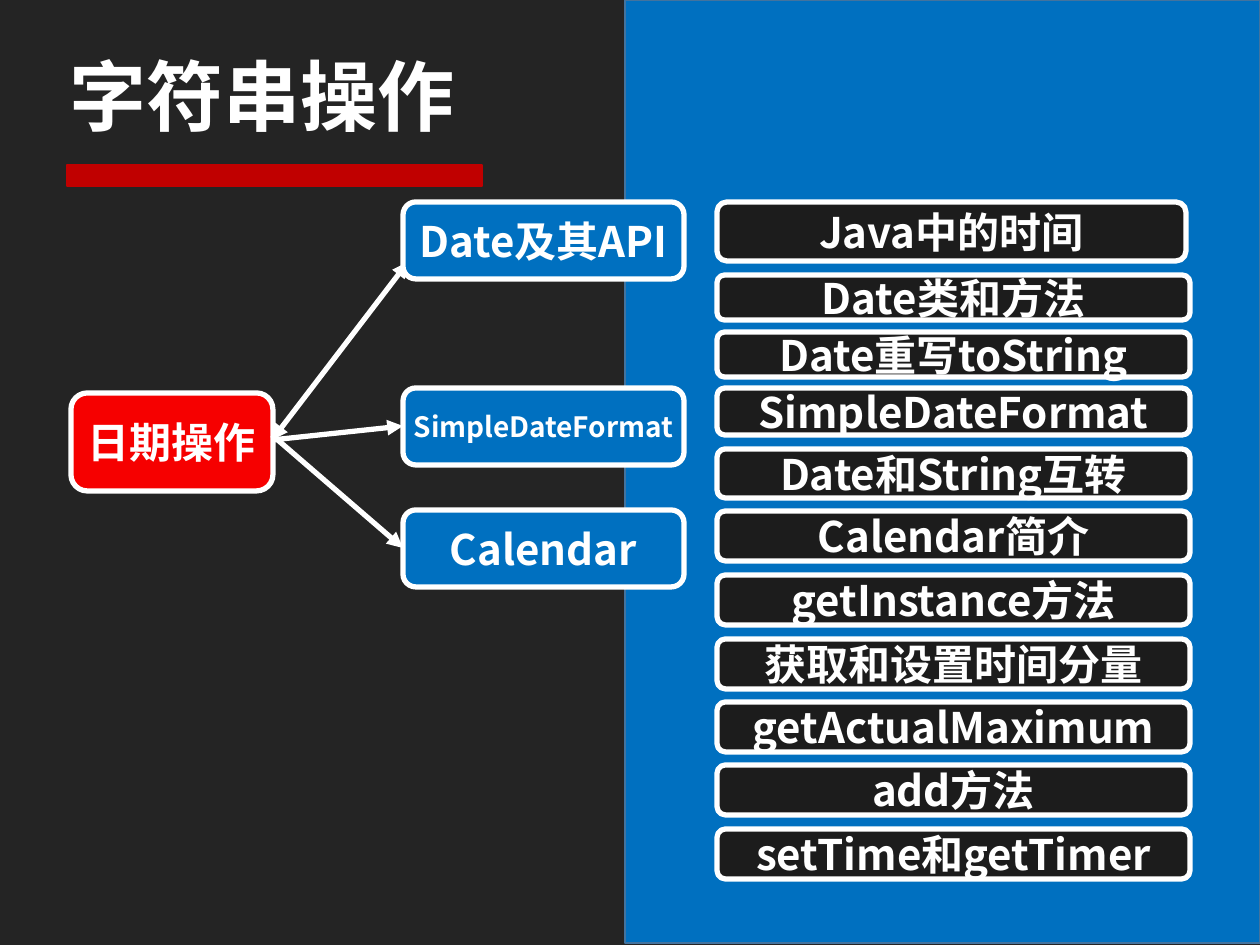
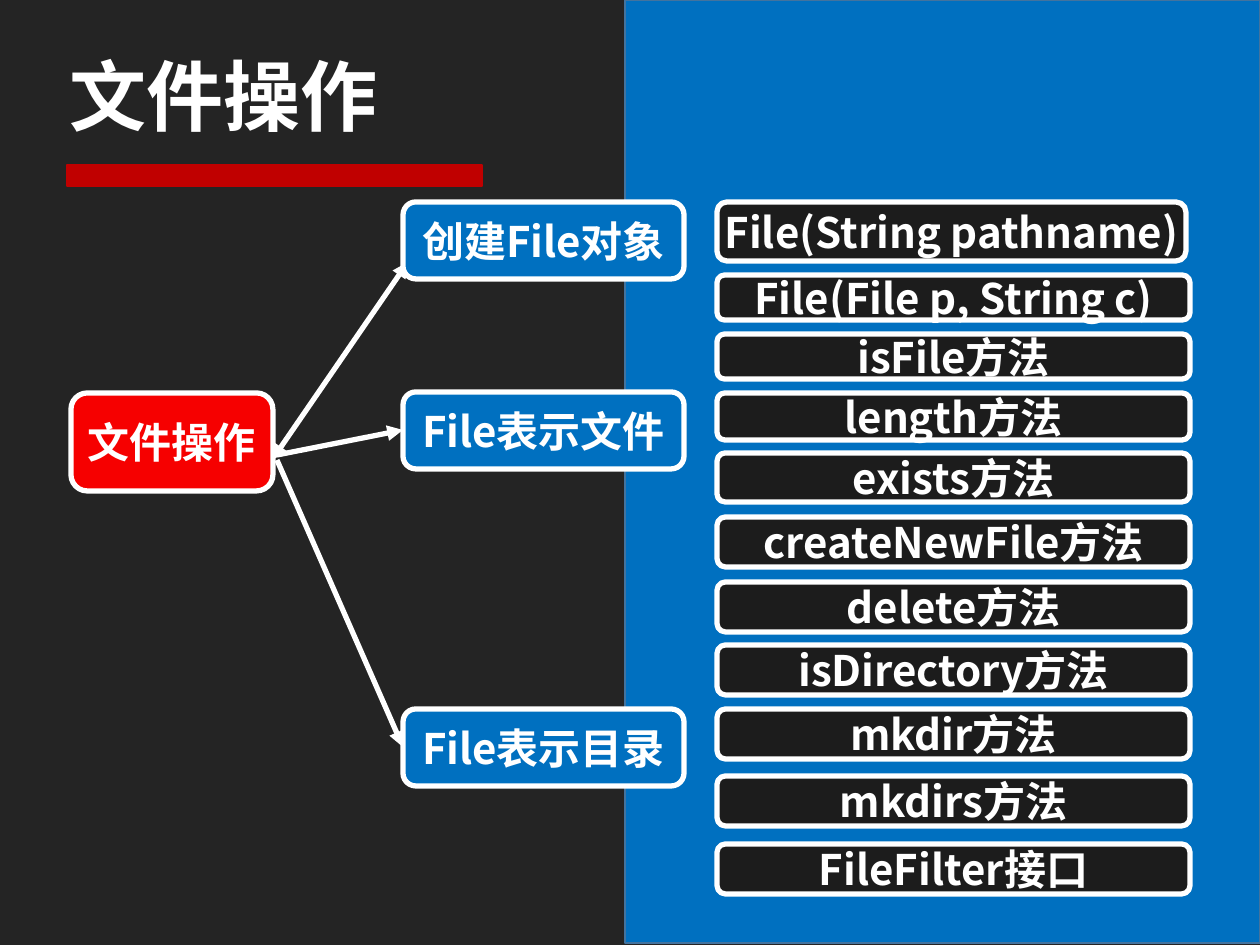
from dataclasses import dataclass

from lxml.etree import SubElement
from pptx import Presentation
from pptx.dml.color import RGBColor
from pptx.enum.shapes import MSO_CONNECTOR as Connector, MSO_SHAPE as Shape
from pptx.enum.text import MSO_ANCHOR as Anchor, PP_ALIGN as Align
from pptx.oxml.ns import qn
from pptx.util import Emu, Pt

SLIDES = [
    {
        "title": "字符串操作",
        "root": "日期操作",
        "branches": [
            ("Date及其API", 202, 24),
            ("SimpleDateFormat", 388, 16),
            ("Calendar", 510, 24),
        ],
        "link_starts": [(272, 440), (272, 440), (272, 435)],
        "topics": [
            ("Java中的时间", 202),
            ("Date类和方法", 275),
            ("Date重写toString", 332),
            ("SimpleDateFormat", 388),
            ("Date和String互转", 449),
            ("Calendar简介", 511),
            ("getInstance方法", 575),
            ("获取和设置时间分量", 639),
            ("getActualMaximum", 702),
            ("add方法", 765),
            ("setTime和getTimer", 829),
        ],
    },
    {
        "title": "文件操作",
        "root": "文件操作",
        "branches": [
            ("创建File对象", 202, 24),
            ("File表示文件", 392, 24),
            ("File表示目录", 709, 24),
        ],
        "link_starts": [(272, 460), (277, 455), (277, 460)],
        "topics": [
            ("File(String pathname)", 202),
            ("File(File p, String c)", 275),
            ("isFile方法", 334),
            ("length方法", 393),
            ("exists方法", 453),
            ("createNewFile方法", 517),
            ("delete方法", 582),
            ("isDirectory方法", 645),
            ("mkdir方法", 709),
            ("mkdirs方法", 776),
            ("FileFilter接口", 844),
        ],
    },
]


@dataclass(frozen=True)
class Theme:
    font: str = "Noto Sans CJK SC"
    background: str = "242424"
    panel: str = "0070C0"
    panel_edge: str = "43739E"
    rule: str = "C00000"
    root: str = "F60000"
    branch: str = "0070C0"
    topic: str = "1C1C1C"
    light: str = "FFFFFF"
    title_size: int = 44
    label_size: int = 24
    thin: int = 1
    thick: int = 3


THEME = Theme()
EMU_PER_PX = 914400 / 126
SLIDE_SIZE = (1260, 945)
PANEL = (625, 0, 635, 943)
TITLE = (57, 29, 1145, 131)
RULE = (67, 165, 415, 21)
ROOT = (71, 393, 202, 98)
BRANCH_LEFT, BRANCH_WIDTH, BRANCH_HEIGHT = 403, 281, 77
FIRST_LINK_END = (408, 262)
TOPIC_LEFT = 717
TOPIC_WIDTHS = [469] + [473] * 10
TOPIC_HEIGHTS = [59, 45, 45, 47, 49] + [50] * 6


def px(*lengths):
    return [Emu(round(length * EMU_PER_PX)) for length in lengths]


def colour(value):
    return RGBColor.from_string(value)


def style_text(paragraph, size, alignment):
    paragraph.alignment = alignment
    font = paragraph.font
    font.size, font.bold = Pt(size), True
    font.color.rgb = colour(THEME.light)
    font.name = THEME.font
    defaults = paragraph._p.pPr.find(qn("a:defRPr"))
    SubElement(defaults, qn("a:ea"), typeface=THEME.font)


def add_block(slide, kind, box, fill, edge, weight):
    shape = slide.shapes.add_shape(kind, *px(*box))
    shape.shadow.inherit = False
    shape.fill.solid()
    shape.fill.fore_color.rgb = colour(fill)
    shape.line.color.rgb = colour(edge)
    shape.line.width = Pt(weight)
    return shape


def add_label(slide, text, box, fill, size=THEME.label_size):
    shape = add_block(slide, Shape.FLOWCHART_ALTERNATE_PROCESS, box, fill,
                      THEME.light, THEME.thick)
    frame = shape.text_frame
    frame.margin_left, frame.margin_right = px(14, 14)
    frame.margin_top, frame.margin_bottom = px(7, 7)
    frame.vertical_anchor = Anchor.MIDDLE
    frame.word_wrap = False
    frame.text = text
    style_text(frame.paragraphs[0], size, Align.CENTER)


def add_link(slide, start, end, arrow_ends):
    link = slide.shapes.add_connector(Connector.STRAIGHT, *px(*start, *end))
    link.line.color.rgb = colour(THEME.light)
    link.line.width = Pt(THEME.thick)
    line = link.line._get_or_add_ln()
    for arrow_end in arrow_ends:
        SubElement(line, qn(f"a:{arrow_end}"), type="triangle")
    SubElement(link._element.spPr, qn("a:effectLst"))


def set_title(slide, text):
    title = slide.shapes.title
    title.left, title.top, title.width, title.height = px(*TITLE)
    frame = title.text_frame
    frame.text = text
    frame.word_wrap = True
    frame.vertical_anchor = Anchor.MIDDLE
    style_text(frame.paragraphs[0], THEME.title_size, Align.LEFT)
    subtitle = slide.placeholders[1]._element
    subtitle.getparent().remove(subtitle)


def add_branches(slide, branches, starts):
    add_link(slide, starts[0], FIRST_LINK_END, ["headEnd", "tailEnd"])
    for text, top, size in branches:
        box = (BRANCH_LEFT, top, BRANCH_WIDTH, BRANCH_HEIGHT)
        add_label(slide, text, box, THEME.branch, size)
    for start, (_, top, _) in zip(starts[1:], branches[1:]):
        end = (BRANCH_LEFT, top + BRANCH_HEIGHT // 2)
        add_link(slide, start, end, ["tailEnd"])


def build_slide(presentation, content):
    slide = presentation.slides.add_slide(presentation.slide_layouts[0])
    panel = add_block(slide, Shape.RECTANGLE, PANEL, THEME.panel,
                      THEME.panel_edge, THEME.thin)
    slide.shapes.title._element.addprevious(panel._element)
    set_title(slide, content["title"])
    add_label(slide, content["root"], ROOT, THEME.root)
    add_block(slide, Shape.RECTANGLE, RULE, THEME.rule, THEME.rule, THEME.thin)
    add_branches(slide, content["branches"], content["link_starts"])
    for (text, top), width, height in zip(content["topics"], TOPIC_WIDTHS, TOPIC_HEIGHTS):
        add_label(slide, text, (TOPIC_LEFT, top, width, height), THEME.topic)


def main():
    presentation = Presentation()
    presentation.slide_width, presentation.slide_height = px(*SLIDE_SIZE)
    background = presentation.slide_master.background.fill
    background.solid()
    background.fore_color.rgb = colour(THEME.background)
    for content in SLIDES:
        build_slide(presentation, content)
    presentation.save("out.pptx")


if __name__ == "__main__":
    main()
